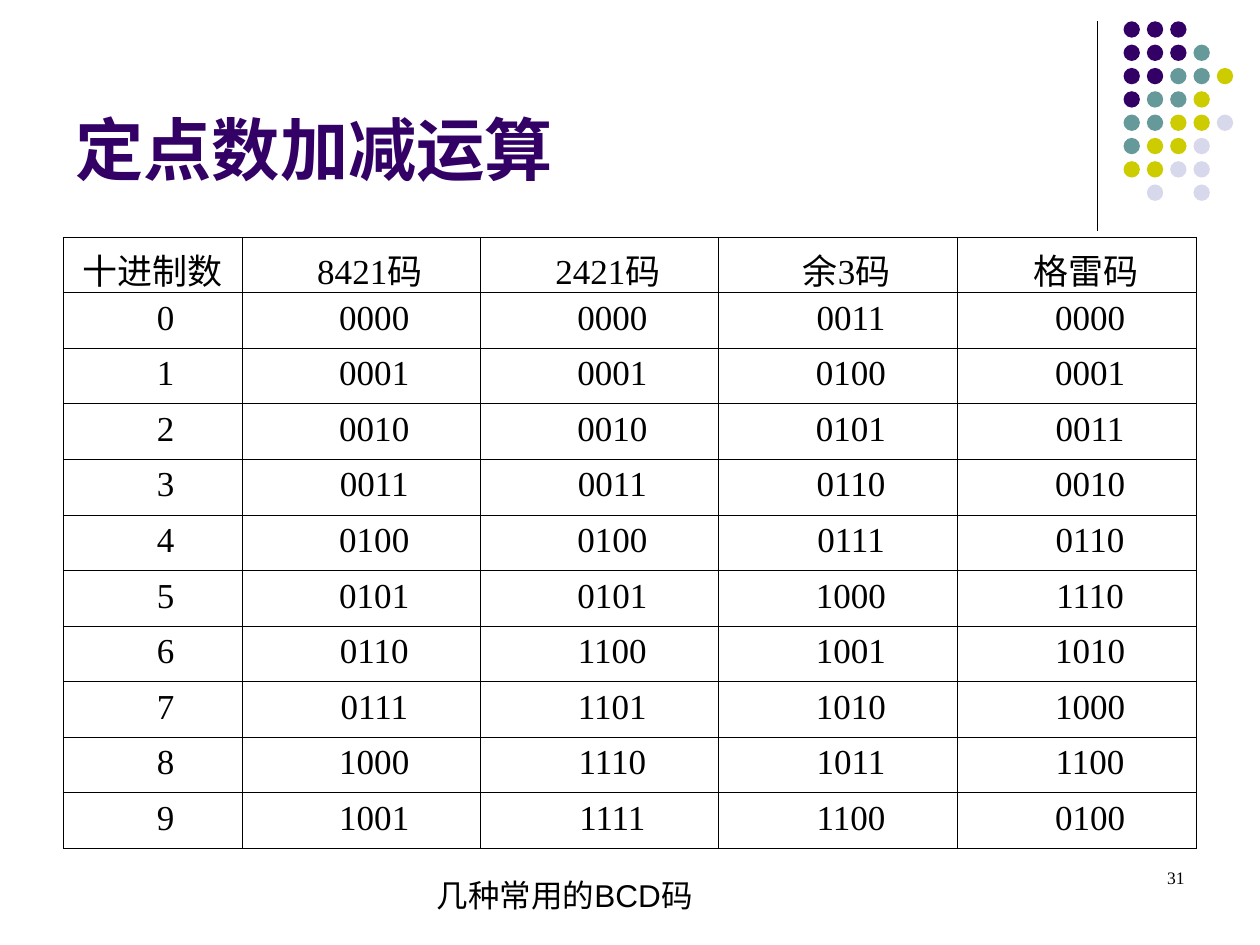
from dataclasses import dataclass

from lxml import etree
from pptx import Presentation
from pptx.dml.color import RGBColor
from pptx.enum.shapes import MSO_CONNECTOR, MSO_SHAPE
from pptx.enum.text import MSO_ANCHOR, PP_ALIGN
from pptx.oxml.ns import qn
from pptx.util import Cm, Pt

LEFT, CENTER, RIGHT = PP_ALIGN.LEFT, PP_ALIGN.CENTER, PP_ALIGN.RIGHT
TOP, MIDDLE, BOTTOM = MSO_ANCHOR.TOP, MSO_ANCHOR.MIDDLE, MSO_ANCHOR.BOTTOM
OVAL, STRAIGHT = MSO_SHAPE.OVAL, MSO_CONNECTOR.STRAIGHT

SANS, SERIF = "Arial", "Times New Roman"
BLACK, PURPLE = "000000", "330066"
DOT_COLORS = {"P": PURPLE, "T": "669999", "Y": "CCCC00", "L": "D8D8EC"}
DOT_ROWS = ["PPP", "PPPT", "PPTTY", "PTTY", "TTYYL", "TYYL", "YYLL", ".L.L"]
DOT_LEFT, DOT_TOP, DOT_PITCH, DOT_SIZE = 22.65, 0.43, 0.47, 0.33

COLUMN_WIDTHS = [3.61, 4.8, 4.8, 4.82, 4.82]
ROW_HEIGHT = 1.12
SIDE_INSET = 0.25
HEADER_SHIFT, DIGIT_SHIFT = 0.35, 0.53  # extra left inset of centred cells
HEADERS = ["十进制数", "8421码", "2421码", "余3码", "格雷码"]


@dataclass
class CodeRow:
    decimal: str
    bcd_8421: str
    bcd_2421: str
    excess_3: str
    gray: str

    def values(self) -> list[str]:
        return [self.decimal, self.bcd_8421, self.bcd_2421, self.excess_3, self.gray]


CODE_ROWS = [
    CodeRow("0", "0000", "0000", "0011", "0000"),
    CodeRow("1", "0001", "0001", "0100", "0001"),
    CodeRow("2", "0010", "0010", "0101", "0011"),
    CodeRow("3", "0011", "0011", "0110", "0010"),
    CodeRow("4", "0100", "0100", "0111", "0110"),
    CodeRow("5", "0101", "0101", "1000", "1110"),
    CodeRow("6", "0110", "1100", "1001", "1010"),
    CodeRow("7", "0111", "1101", "1010", "1000"),
    CodeRow("8", "1000", "1110", "1011", "1100"),
    CodeRow("9", "1001", "1111", "1100", "0100"),
]


@dataclass
class Box:
    left: float
    top: float
    width: float
    height: float

    def lengths(self) -> list[Cm]:
        return [Cm(v) for v in (self.left, self.top, self.width, self.height)]


def color(value: str) -> RGBColor:
    return RGBColor.from_string(value)


def write(frame, text: str, *, size: float, font: str = SANS, fill: str = BLACK,
          bold: bool = False, align=LEFT) -> None:
    paragraph = frame.paragraphs[0]
    paragraph.alignment = align
    run = paragraph.add_run()
    run.text = text
    run.font.size = Pt(size)
    run.font.name = font
    run.font.bold = bold
    run.font.color.rgb = color(fill)


def add_label(slide, box: Box, text: str, *, anchor=TOP, wrap: bool = True, **style) -> None:
    frame = slide.shapes.add_textbox(*box.lengths()).text_frame
    frame.word_wrap = wrap
    frame.vertical_anchor = anchor
    write(frame, text, **style)


def add_divider(slide, x: float, top: float, bottom: float) -> None:
    divider = slide.shapes.add_connector(STRAIGHT, Cm(x), Cm(top), Cm(x), Cm(bottom))
    divider.line.color.rgb = color(BLACK)
    divider.line.width = Pt(0.75)
    etree.SubElement(divider._element.spPr, qn("a:effectLst"))


def add_dots(slide) -> None:
    dots = slide.shapes.add_group_shape().shapes
    for row, pattern in enumerate(DOT_ROWS):
        for column, key in enumerate(pattern):
            if key not in DOT_COLORS:
                continue
            box = Box(DOT_LEFT + column * DOT_PITCH, DOT_TOP + row * DOT_PITCH,
                      DOT_SIZE, DOT_SIZE)
            dot = dots.add_shape(OVAL, *box.lengths())
            dot.shadow.inherit = False
            dot.fill.solid()
            dot.fill.fore_color.rgb = color(DOT_COLORS[key])
            dot.line.fill.background()


def add_borders(cell, line_color: str, width: float) -> None:
    properties = cell._tc.get_or_add_tcPr()
    for index, side in enumerate(("lnL", "lnR", "lnT", "lnB")):
        border = etree.Element(qn(f"a:{side}"), w=str(Pt(width)))
        solid = etree.SubElement(border, qn("a:solidFill"))
        etree.SubElement(solid, qn("a:srgbClr"), val=line_color)
        properties.insert(index, border)


def add_code_table(slide, left: float, top: float) -> None:
    rows = [HEADERS] + [row.values() for row in CODE_ROWS]
    box = Box(left, top, sum(COLUMN_WIDTHS), ROW_HEIGHT * len(rows))
    table = slide.shapes.add_table(len(rows), len(HEADERS), *box.lengths()).table
    table.first_row = table.horz_banding = False
    for column, width in zip(table.columns, COLUMN_WIDTHS):
        column.width = Cm(width)
    for r, values in enumerate(rows):
        table.rows[r].height = Cm(ROW_HEIGHT)
        for c, value in enumerate(values):
            cell = table.cell(r, c)
            if r > 0:
                shift = DIGIT_SHIFT
            else:
                shift = HEADER_SHIFT if c > 0 else 0
            cell.margin_left = Cm(SIDE_INSET + shift)
            cell.margin_right = Cm(SIDE_INSET)
            cell.fill.background()
            add_borders(cell, BLACK, 0.45)
            write(cell.text_frame, value, size=20, font=SERIF, align=CENTER)


def main() -> None:
    deck = Presentation()
    deck.slide_width, deck.slide_height = Cm(25.4), Cm(19.05)
    slide = deck.slides.add_slide(deck.slide_layouts[6])

    # Corner decoration
    add_divider(slide, 22.12, 0.43, 4.65)
    add_dots(slide)

    # Title
    add_label(slide, Box(1.27, 0.33, 20.96, 3.61), "定点数加减运算",
              anchor=BOTTOM, size=39, fill=PURPLE, bold=True)

    # Code table with its caption
    add_code_table(slide, 1.27, 4.78)
    add_label(slide, Box(8.56, 17.53, 6.1, 1.02), "几种常用的BCD码",
              anchor=MIDDLE, wrap=False, size=18)

    # Page number
    add_label(slide, Box(18.21, 17.35, 5.92, 1.27), "31",
              size=10, font=SERIF, align=RIGHT)

    deck.save("out.pptx")


if __name__ == "__main__":
    main()
